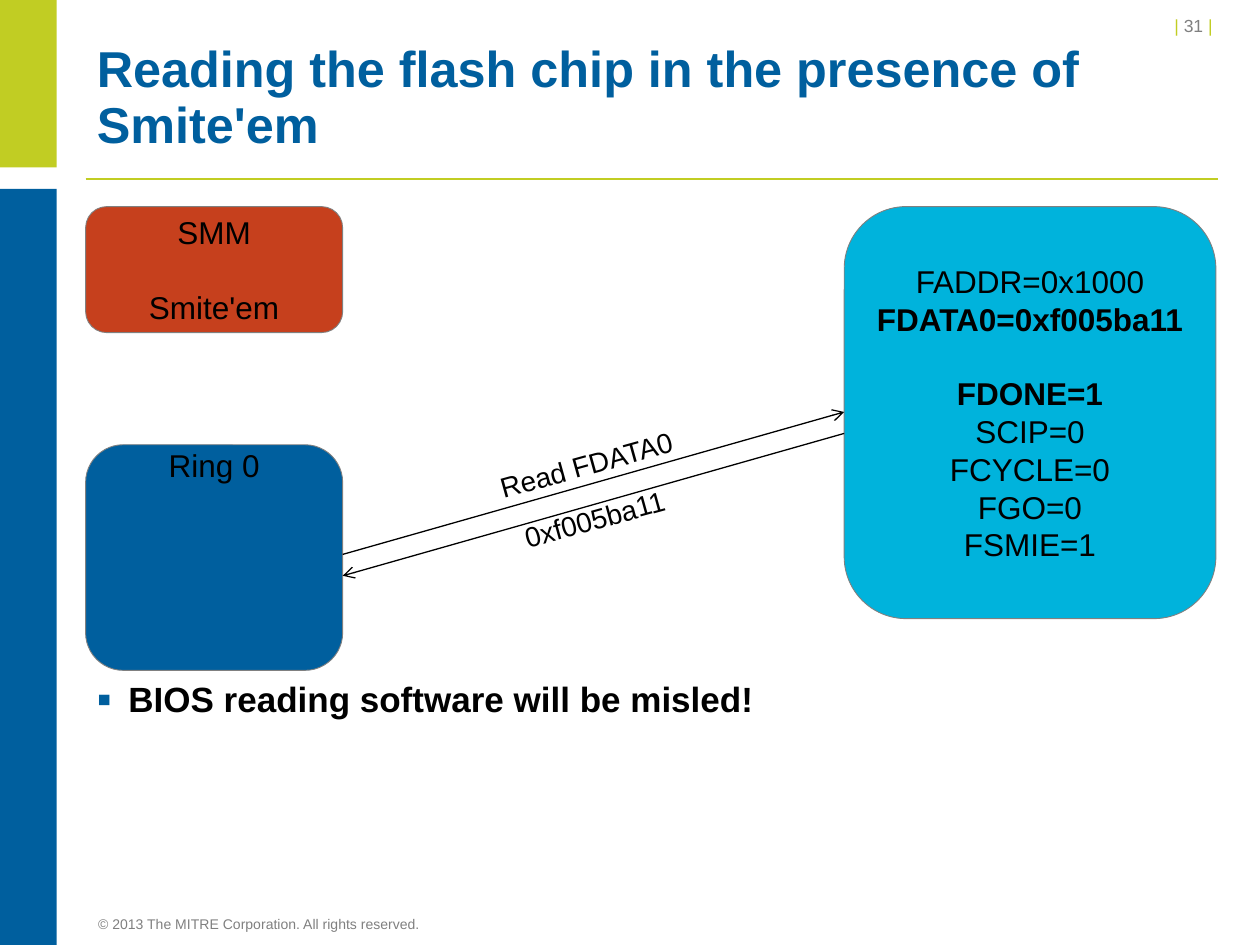
"""Build the slide on reading the flash chip in the presence of Smite'em."""
from lxml import etree
from pptx import Presentation
from pptx import util as u
from pptx.dml.color import RGBColor
from pptx.enum import shapes, text
from pptx.oxml.ns import qn

THEME = {
    "font": "Arial",
    "lime": "C1CD23", "blue": "005F9E", "cyan": "00B3DC", "red": "C6401D",
    "gray": "808080", "black": "000000",
    "title": 28.8, "body": 20, "box": 18, "label": 16, "page": 10, "footer": 8,
}
GAP = 21
LEFT, RIGHT = 2.72, 6.7

TITLE = "Reading the flash chip in the presence of Smite'em"
BULLET = "BIOS reading software will be misled!"
FOOTER = "© 2013 The MITRE Corporation. All rights reserved."
PAGE = [("| ", "lime"), ("31 ", "gray"), ("| ", "lime")]
BARS = [((0, 0, 0.45, 1.33), "lime"), ((0, 1.5, 0.45, 6), "blue")]
BOXES = [
    {"at": (6.7, 1.64, 2.95, 3.27), "fill": "cyan", "lines": [
        ("FADDR=0x1000", {}),
        ("FDATA0=0xf005ba11", {"bold": True}),
        ("FDONE=1", {"bold": True, "before": GAP}),
        ("SCIP=0", {}), ("FCYCLE=0", {}), ("FGO=0", {}), ("FSMIE=1", {})]},
    {"at": (0.68, 1.64, 2.04, 1), "fill": "red", "lines": [
        ("SMM", {}), ("Smite'em", {"before": GAP})]},
    {"at": (0.68, 3.53, 2.04, 1.79), "fill": "blue", "top": -0.08,
     "lines": [("Ring 0", {})]},
]
ARROWS = [(4.4, 3.27, "tailEnd"), (4.57, 3.44, "headEnd")]
LABELS = [("Read FDATA0", (3.85, 3.5, 1.63, 0.37)),
          ("0xf005ba11", (4.05, 3.93, 1.36, 0.37))]


def rgb(name):
    return RGBColor.from_string(THEME[name])


def inches(values):
    return [u.Inches(v) for v in values]


def add_text(tf, content, size="box", color="black", bold=False, align="LEFT",
             before=0, after=0, spacing=None, bullet=None):
    """Write one paragraph of plain text or (text, colour) runs."""
    p = tf.paragraphs[0]
    if p.runs:
        p = tf.add_paragraph()
    if bullet:
        pPr = p._p.get_or_add_pPr()
        pPr.set("marL", str(u.Inches(0.25)))
        pPr.set("indent", str(u.Inches(-0.25)))
        clr = etree.SubElement(pPr, qn("a:buClr"))
        etree.SubElement(clr, qn("a:srgbClr"), val=THEME["blue"])
        etree.SubElement(pPr, qn("a:buSzPct"), val="120000")
        etree.SubElement(pPr, qn("a:buFont"), typeface=THEME["font"])
        etree.SubElement(pPr, qn("a:buChar"), char=bullet)
    p.alignment = getattr(text.PP_ALIGN, align)
    p.space_before, p.space_after = u.Pt(before), u.Pt(after)
    if spacing:
        p.line_spacing = u.Pt(spacing)
    runs = [(content, color)] if isinstance(content, str) else content
    for words, run_color in runs:
        r = p.add_run()
        r.text = words
        r.font.name, r.font.size = THEME["font"], u.Pt(THEME[size])
        r.font.bold = bold
        r.font.color.rgb = rgb(run_color)


def add_textbox(s, at, content, anchor="TOP", wrap=True, rotation=0, **fmt):
    sp = s.shapes.add_textbox(*inches(at))
    sp.rotation = rotation
    tf = sp.text_frame
    tf.word_wrap = wrap
    tf.vertical_anchor = getattr(text.MSO_ANCHOR, anchor)
    add_text(tf, content, **fmt)


def add_block(s, at, fill, kind="RECTANGLE", line=None):
    sp = s.shapes.add_shape(getattr(shapes.MSO_SHAPE, kind), *inches(at))
    sp.shadow.inherit = False
    sp.fill.solid()
    sp.fill.fore_color.rgb = rgb(fill)
    if line:
        sp.line.color.rgb, sp.line.width = rgb(line), u.Pt(0.5)
    else:
        sp.line.fill.background()
    return sp


def add_box(s, box):
    sp = add_block(s, box["at"], box["fill"], "ROUNDED_RECTANGLE", "gray")
    tf = sp.text_frame
    tf.word_wrap = True
    tf.vertical_anchor = text.MSO_ANCHOR.MIDDLE
    if "top" in box:
        tf.vertical_anchor = text.MSO_ANCHOR.TOP
        tf.margin_top = u.Inches(box["top"])
    for words, fmt in box["lines"]:
        add_text(tf, words, align="CENTER", **fmt)


def add_line(s, ends, color, width, arrow=None):
    sp = s.shapes.add_connector(shapes.MSO_CONNECTOR.STRAIGHT, *inches(ends))
    sp.line.color.rgb, sp.line.width = rgb(color), u.Pt(width)
    if arrow:
        etree.SubElement(sp.line._get_or_add_ln(), qn(f"a:{arrow}"), type="arrow")
    etree.SubElement(sp._element.spPr, qn("a:effectLst"))


def main():
    prs = Presentation()
    prs.slide_width, prs.slide_height = inches((10, 7.5))
    s = prs.slides.add_slide(prs.slide_layouts[6])
    add_line(s, (0.68, 1.42, 9.67, 1.42), "lime", 1)
    for at, fill in BARS:
        add_block(s, at, fill)
    add_textbox(s, (8.01, 0.07, 1.75, 0.27), PAGE, size="page", align="RIGHT", after=6)
    add_textbox(s, (0.67, 0.3, 9, 0.95), TITLE, anchor="MIDDLE", size="title",
                color="blue", bold=True, spacing=32)
    add_textbox(s, (0.67, 5.33, 9, 1.58), BULLET, size="body", bold=True,
                after=6, bullet="▪")
    add_textbox(s, (0.68, 7.21, 6.38, 0.24), FOOTER, anchor="BOTTOM",
                size="footer", color="gray", spacing=13)
    for box in BOXES:
        add_box(s, box)
    for start, end, arrow in ARROWS:
        add_line(s, (LEFT, start, RIGHT, end), "black", 0.75, arrow)
    for words, at in LABELS:
        add_textbox(s, at, words, wrap=False, rotation=344.5, size="label", after=6)
    prs.save("out.pptx")


if __name__ == "__main__":
    main()
